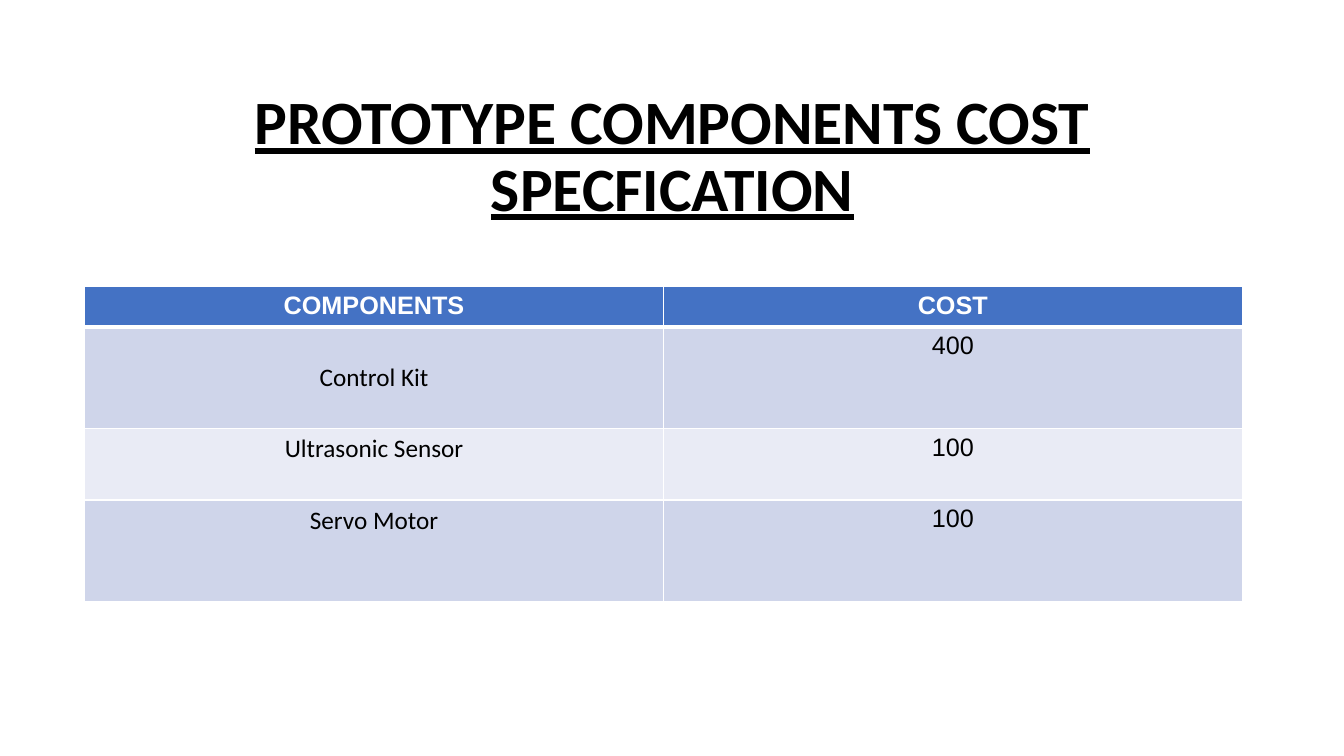
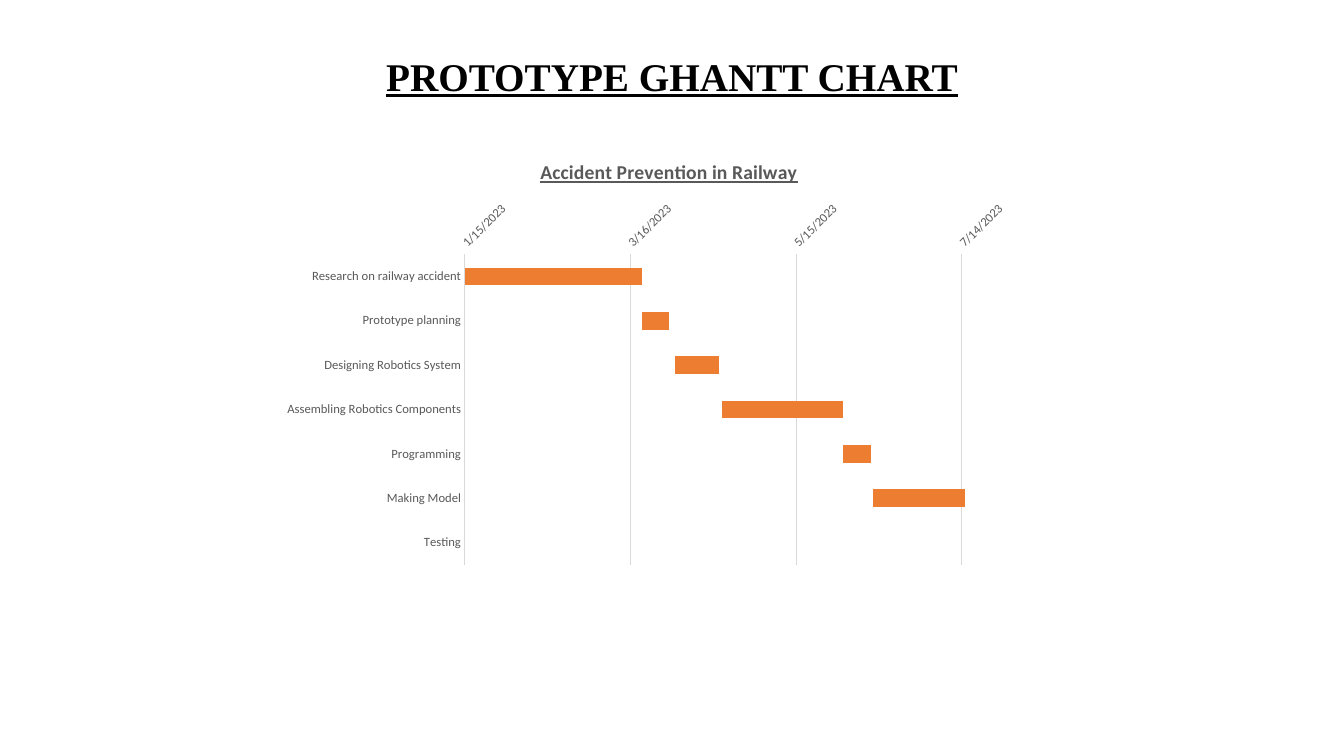
from lxml import etree
from pptx import Presentation
from pptx import util as u
from pptx.chart.data import CategoryChartData
from pptx.dml.color import RGBColor
from pptx.enum import chart as ch, text
from pptx.oxml import ns

INK, WHITE, GRAY, RULE = "000000", "FFFFFF", "595959", "D9D9D9"
BLUE, BAND, PALE, ORANGE = "4472C4", "CFD5EA", "E9EBF5", "ED7D31"


def style(font, size, face, color, bold=False, under=False):
    font.size, font.name = u.Pt(size), face
    font.bold, font.underline = bold, under
    font.color.rgb = RGBColor.from_string(color)


def place(host, spot, **parts):
    """Give a chart part a fixed place, as shares of the chart."""
    for old in host.findall(ns.qn("c:layout")):
        host.remove(old)
    lay = etree.Element(ns.qn("c:layout"))
    man = etree.SubElement(lay, ns.qn("c:manualLayout"))
    for key, val in parts.items():
        etree.SubElement(man, ns.qn("c:" + key)).set("val", str(val))
    host.insert(spot, lay)


prs = Presentation()
prs.slide_width, prs.slide_height = u.Inches(13.33), u.Inches(7.5)

# Slides and their titles
heads = [
    ("PROTOTYPE COMPONENTS COST SPECFICATION", (0.92, 0.84, 11.5, 1.45),
     44, "Calibri", 0.9, text.MSO_ANCHOR.MIDDLE),
    ("PROTOTYPE GHANTT CHART", (3.33, 0, 6.67, 0.9),
     28, "Times New Roman", 2.0, text.MSO_ANCHOR.TOP),
]
pages = []
for words, area, size, face, lead, anchor in heads:
    page = prs.slides.add_slide(prs.slide_layouts[6])
    frame = page.shapes.add_textbox(*map(u.Inches, area)).text_frame
    frame.word_wrap, frame.vertical_anchor = True, anchor
    para = frame.paragraphs[0]
    para.alignment, para.line_spacing = text.PP_ALIGN.CENTER, lead
    run = para.add_run()
    run.text = words
    style(run.font, size, face, INK, True, True)
    pages.append(page)
cost, plan = pages

# Cost table
rows = [("COMPONENTS", "COST"), ("Control Kit", "400"),
        ("Ultrasonic Sensor", "100"), ("Servo Motor", "100")]
highs = [0.37, 1.01, 0.71, 1.01]
area = map(u.Inches, (0.84, 2.84, 11.48, sum(highs)))
table = cost.shapes.add_table(len(rows), 2, *area).table
for r, (row, high) in enumerate(zip(rows, highs)):
    table.rows[r].height = u.Inches(high)
    for c, words in enumerate(row):
        cell = table.cell(r, c)
        cell.fill.solid()
        shade = BLUE if r == 0 else BAND if r % 2 else PALE
        cell.fill.fore_color.rgb = RGBColor.from_string(shade)
        para = cell.text_frame.paragraphs[0]
        para.alignment = text.PP_ALIGN.CENTER
        run = para.add_run()
        run.text = words
        face = "Arial" if r == 0 or c == 1 else "Calibri"
        style(run.font, 18, face, INK if r else WHITE, r == 0)
        # White borders, thick under the header
        props = cell._tc.get_or_add_tcPr()
        for spot, side in enumerate("LRTB"):
            thick = (r, side) in ((0, "B"), (1, "T"))
            line = etree.Element(ns.qn("a:ln" + side))
            line.set("w", str(u.Pt(3 if thick else 1)))
            fill = etree.SubElement(line, ns.qn("a:solidFill"))
            etree.SubElement(fill, ns.qn("a:srgbClr")).set("val", WHITE)
            props.insert(spot, line)
table.cell(1, 0).vertical_anchor = text.MSO_ANCHOR.MIDDLE

# Gantt chart: hidden start dates, then days of work
tasks = [
    ("Research on railway accident", 44941, 64),
    ("Prototype planning", 45005, 10),
    ("Designing Robotics System", 45017, 16),
    ("Assembling Robotics Components", 45034, 44),
    ("Programming", 45078, 10),
    ("Making Model", 45089, 33),
    ("Testing", 45275, 32),
]
names, starts, days = zip(*tasks)
data = CategoryChartData()
data.categories = names
data.add_series("Series 1", starts)
data.add_series("Series 2", days)
area = map(u.Inches, (2.71, 1.41, 7.92, 4.28))
chart = plan.shapes.add_chart(ch.XL_CHART_TYPE.BAR_STACKED, *area, data).chart
style(chart.font, 10, "Calibri", INK)
chart.has_legend = False

plot = chart.plots[0]
plot.gap_width, plot.overlap, plot.vary_by_categories = 150, 100, False
start, work = plot.series
start.format.fill.background()
start.format.line.fill.background()
work.format.fill.solid()
work.format.fill.fore_color.rgb = RGBColor.from_string(ORANGE)

# Chart title
chart.has_title = True
title = chart.chart_title
title.include_in_layout = False
run = title.text_frame.paragraphs[0].add_run()
run.text = "Accident Prevention in Railway"
style(run.font, 14, "Calibri", GRAY, True, True)
place(title._element, 1, xMode="edge", yMode="edge", x=0.33, y=0.03)

# Axes
task, date = chart.category_axis, chart.value_axis
for axis in (task, date):
    axis.major_tick_mark = axis.minor_tick_mark = ch.XL_TICK_MARK.NONE
    style(axis.tick_labels.font, 9, "Calibri", GRAY)
task.reverse_order = True
task.has_major_gridlines = False
date.has_major_gridlines = True
date.minimum_scale, date.maximum_scale, date.major_unit = 44941, 45155, 60
date.tick_labels.number_format = "m/d/yyyy"
date.tick_labels.number_format_is_linked = False
date.format.line.fill.background()
date._element.txPr.bodyPr.set("rot", "-2700000")
for line in (task.format.line, date.major_gridlines.format.line):
    line.width = u.Pt(0.75)
    line.color.rgb = RGBColor.from_string(RULE)
place(chart._chartSpace.chart.plotArea, 0, layoutTarget="inner",
      xMode="edge", yMode="edge", x=0.24, y=0.26, w=0.74, h=0.72)

prs.save("out.pptx")
